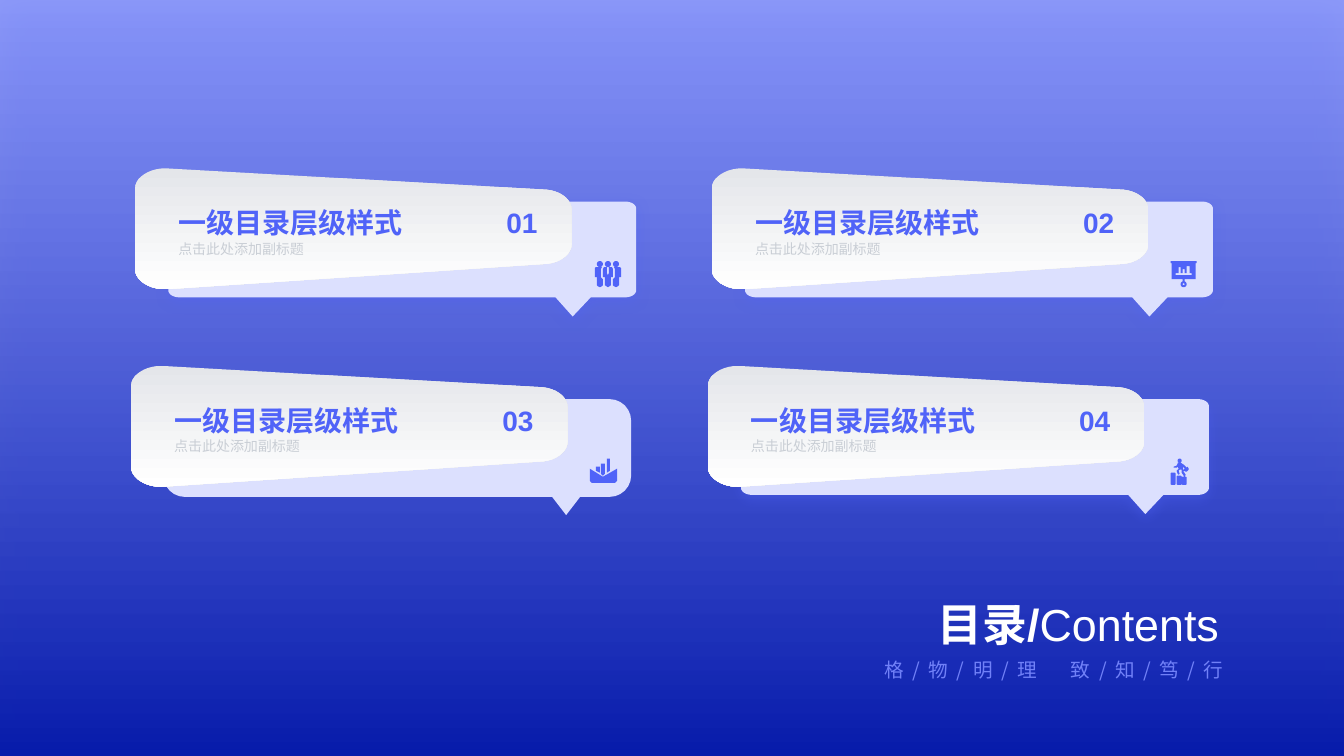
from math import cos, pi, sin

from lxml.etree import SubElement
from pptx import Presentation
from pptx.dml.color import RGBColor
from pptx.enum.shapes import MSO_SHAPE as Preset
from pptx.enum.text import MSO_ANCHOR as Anchor, PP_ALIGN as Align
from pptx.oxml import parse_xml
from pptx.oxml.ns import nsdecls, qn
from pptx.util import Inches, Pt

COLORS = {
    "sky": "7181F8", "navy": "081CAC", "glow": "96A1FB", "blue": "5063F8",
    "lilac": "DCE0FE", "silver": "E4E6EA", "white": "FFFFFF", "gray": "C9CED5",
}


def rounded(left, top, right, bottom, radius):
    """Contour of a rectangle with round corners."""
    centers = [(right - radius, bottom - radius), (left + radius, bottom - radius),
               (left + radius, top + radius), (right - radius, top + radius)]
    return [(x + radius * cos((corner + step / 6) * pi / 2),
             y + radius * sin((corner + step / 6) * pi / 2))
            for corner, (x, y) in enumerate(centers) for step in range(7)]


def disc(x, y, radius):
    return rounded(x - radius, y - radius, x + radius, y + radius, radius)


def trace(*steps):
    """Contour from points (x, y) and cubic curves (x1, y1, x2, y2, x, y)."""
    points = []
    for step in steps:
        if len(step) == 2:
            points.append(step)
            continue
        nodes = [points[-1], step[:2], step[2:4], step[4:]]
        for t in (n / 10 for n in range(1, 11)):
            weights = ((1 - t) ** 3, 3 * t * (1 - t) ** 2, 3 * t * t * (1 - t), t ** 3)
            points.append(tuple(sum(w * node[axis] for w, node in zip(weights, nodes))
                                for axis in (0, 1)))
    return points


class Slide:
    def __init__(self, page, font="Arial"):
        self.page, self.font = page, font

    def color(self, name):
        return RGBColor.from_string(COLORS[name])

    def paint(self, shape, *names, shadow=None):
        """Fill with one colour, or with two from top to bottom."""
        shape.shadow.inherit = False
        shape.line.fill.background()
        if len(names) == 1:
            shape.fill.solid()
            shape.fill.fore_color.rgb = self.color(names[0])
        else:
            shape.fill.gradient()
            shape.fill.gradient_angle = 270
            for stop, name in zip(shape.fill.gradient_stops, names):
                stop.color.rgb = self.color(name)
        if shadow:
            name, blur = shadow
            shape._element.spPr.find(qn("a:effectLst")).append(parse_xml(
                f'<a:outerShdw {nsdecls("a")} blurRad="{Pt(blur)}" dist="{Pt(3)}" '
                f'dir="5400000" rotWithShape="0"><a:srgbClr val="{COLORS[name]}">'
                '<a:alpha val="40000"/></a:srgbClr></a:outerShdw>'))
        return shape

    def preset(self, kind, left, top, width, height, *names, shadow=None):
        shape = self.page.shapes.add_shape(
            kind, Inches(left), Inches(top), Inches(width), Inches(height))
        return self.paint(shape, *names, shadow=shadow)

    def outline(self, left, top, contours, *names, shadow=None):
        paths = [[(Inches(left + x), Inches(top + y)) for x, y in contour]
                 for contour in contours]
        builder = self.page.shapes.build_freeform(*paths[0][0])
        for index, path in enumerate(paths):
            if index:
                builder.move_to(*path[0])
            builder.add_line_segments(path[1:], close=True)
        return self.paint(builder.convert_to_shape(), *names, shadow=shadow)

    def text(self, left, top, width, height, words, size, color, bold=False,
             align=Align.LEFT, margin=(0.1, 0.1), font=None):
        box = self.page.shapes.add_textbox(
            Inches(left), Inches(top), Inches(width), Inches(height))
        frame = box.text_frame
        frame.word_wrap = True
        frame.vertical_anchor = Anchor.TOP
        frame.margin_left = frame.margin_right = Inches(margin[0])
        frame.margin_top = frame.margin_bottom = Inches(margin[1])
        para = frame.paragraphs[0]
        para.alignment = align
        para.font.name, para.font.size = font or self.font, Pt(size)
        para.font.color.rgb, para.font.bold = self.color(color), bold
        para.add_run().text = words
        return para


# Card outlines, measured from the card's top left corner
BUBBLE = trace(
    (4.86, 0.33), (0.44, 0.33), (0.38, 0.33, 0.33, 0.36, 0.33, 0.4),
    (0.33, 1.21), (0.33, 1.25, 0.38, 1.28, 0.44, 1.28), (4.17, 1.28),
    (4.34, 1.47), (4.52, 1.28), (4.86, 1.28),
    (4.92, 1.28, 4.97, 1.25, 4.97, 1.21), (4.97, 0.4),
    (4.97, 0.36, 4.92, 0.33, 4.86, 0.33))
PLATE = trace(
    (4.04, 0.95), (0.3, 1.2), (0.14, 1.2, 0, 1.11, 0, 1), (0, 0.2),
    (0, 0.09, 0.14, 0, 0.3, 0), (4.04, 0.21),
    (4.2, 0.21, 4.33, 0.3, 4.33, 0.41), (4.33, 0.75),
    (4.33, 0.86, 4.2, 0.95, 4.04, 0.95))

# Icons, measured from the icon's top left corner
SIDE_PERSON = [(0.01, 0.06), (0.07, 0.06), (0.06, 0.08), (0.06, 0.16), (0.08, 0.18),
               (0.08, 0.24), (0.07, 0.25), (0.05, 0.26), (0.03, 0.25), (0.02, 0.24),
               (0.02, 0.16), (0, 0.16), (0, 0.07)]
PEOPLE = [
    *(disc(x, 0.03, 0.03) for x in (0.05, 0.13, 0.21)),
    SIDE_PERSON, [(0.26 - x, y) for x, y in SIDE_PERSON],
    [(0.09, 0.06), (0.12, 0.06), (0.12, 0.12), (0.13, 0.14), (0.14, 0.12), (0.14, 0.06),
     (0.17, 0.06), (0.18, 0.08), (0.18, 0.16), (0.16, 0.16), (0.16, 0.24), (0.13, 0.26),
     (0.1, 0.24), (0.1, 0.16), (0.08, 0.16), (0.08, 0.08)]]
BOARD = [
    [(0, 0), (0.26, 0), (0.26, 0.02), (0.25, 0.02), (0.25, 0.18), (0.14, 0.18),
     (0.14, 0.2), (0.12, 0.2), (0.12, 0.18), (0.01, 0.18), (0.01, 0.02), (0, 0.02)],
    [(0.05, 0.12), (0.08, 0.12), (0.08, 0.06), (0.1, 0.06), (0.1, 0.12), (0.12, 0.12),
     (0.12, 0.08), (0.14, 0.08), (0.14, 0.12), (0.16, 0.12), (0.16, 0.05), (0.19, 0.05),
     (0.19, 0.12), (0.21, 0.12), (0.21, 0.14), (0.05, 0.14)],
    disc(0.13, 0.23, 0.03), disc(0.13, 0.23, 0.01)]
ENVELOPE = [
    [(0, 0.1), (0.13, 0.18), (0.27, 0.1), (0.27, 0.22), (0.25, 0.24), (0.02, 0.24),
     (0, 0.22)],
    [(0.06, 0.08), (0.1, 0.08), (0.1, 0.14), (0.06, 0.12)],
    [(0.11, 0.05), (0.15, 0.05), (0.15, 0.15), (0.13, 0.17), (0.11, 0.15)],
    [(0.17, 0), (0.2, 0), (0.2, 0.12), (0.17, 0.14)]]
CLIMBER = [
    *(rounded(x, y, x + 0.05, 0.26, 0.01) for x, y in ((0, 0.14), (0.06, 0.17), (0.11, 0.18))),
    disc(0.09, 0.02, 0.02),
    [(0.1, 0.04), (0.13, 0.06), (0.15, 0.08), (0.16, 0.09), (0.17, 0.08), (0.18, 0.1),
     (0.18, 0.11), (0.16, 0.13), (0.15, 0.13), (0.13, 0.12), (0.13, 0.11), (0.14, 0.1),
     (0.13, 0.09), (0.12, 0.08), (0.13, 0.13), (0.15, 0.16), (0.14, 0.18), (0.13, 0.17),
     (0.11, 0.14), (0.11, 0.11), (0.09, 0.11), (0.08, 0.12), (0.09, 0.15), (0.08, 0.16),
     (0.07, 0.15), (0.06, 0.12), (0.08, 0.1), (0.07, 0.08), (0.06, 0.09), (0.03, 0.09),
     (0.03, 0.08), (0.06, 0.07), (0.07, 0.05), (0.07, 0.04)]]
ICONS = [(PEOPLE, 4.56), (BOARD, 4.55), (ENVELOPE, 4.55), (CLIMBER, 4.59)]


def main():
    deck = Presentation()
    deck.slide_width, deck.slide_height = Inches(13.33), Inches(7.5)
    slide = Slide(deck.slides.add_slide(deck.slide_layouts[6]))

    # Background
    backdrop = slide.preset(Preset.RECTANGLE, 0, 0, 13.33, 7.5, "sky", "navy",
                            shadow=("glow", 24))
    top_color = next(backdrop._element.spPr.iter(qn("a:srgbClr")))
    SubElement(top_color, qn("a:alpha")).set("val", "80000")

    # Four contents cards
    for index, (icon, icon_left) in enumerate(ICONS):
        row, column = divmod(index, 2)
        left, top = 1.34 + 5.72 * column - 0.04 * row, 1.67 + 1.96 * row
        if icon is ENVELOPE:
            panel = slide.preset(Preset.ROUNDED_RECTANGLE, left + 0.32, top + 0.33,
                                 4.64, 0.97, "lilac")
            panel.adjustments[0] = 0.22
            pointer = slide.preset(Preset.ISOSCELES_TRIANGLE, left + 4.13, top + 1.24,
                                   0.37, 0.24, "lilac")
            pointer.rotation = 180
        else:
            slide.outline(left, top, [BUBBLE], "lilac", shadow=("blue", 10))
        slide.outline(left, top, [PLATE], "silver", "white")
        slide.text(left + 0.33, top + 0.27, 3.28, 0.37, "一级目录层级样式", 20, "blue", True)
        slide.text(left + 0.33, top + 0.63, 3.44, 0.37, "点击此处添加副标题", 10, "gray")
        slide.outline(left + icon_left, top + 0.92, icon, "blue")
        slide.text(left + 3.14, top + 0.27, 0.95, 0.37, f"{index + 1:02}", 20, "blue", True,
                   Align.RIGHT)

    # Heading and motto
    heading = slide.text(7.88, 5.87, 4.31, 0.74, "目录/", 32, "white", True, Align.RIGHT,
                         (0.1, 0.05))
    span = heading.add_run()
    span.text, span.font.bold = "Contents", False
    motto = slide.text(7.66, 6.48, 4.57, 0.34, "格/物/明/理  致/知/笃/行", 14, "sky",
                       align=Align.RIGHT, margin=(0.1, 0.05), font="Noto Sans CJK SC")
    motto.runs[0].font._element.set("spc", "600")

    deck.save("out.pptx")


if __name__ == "__main__":
    main()
